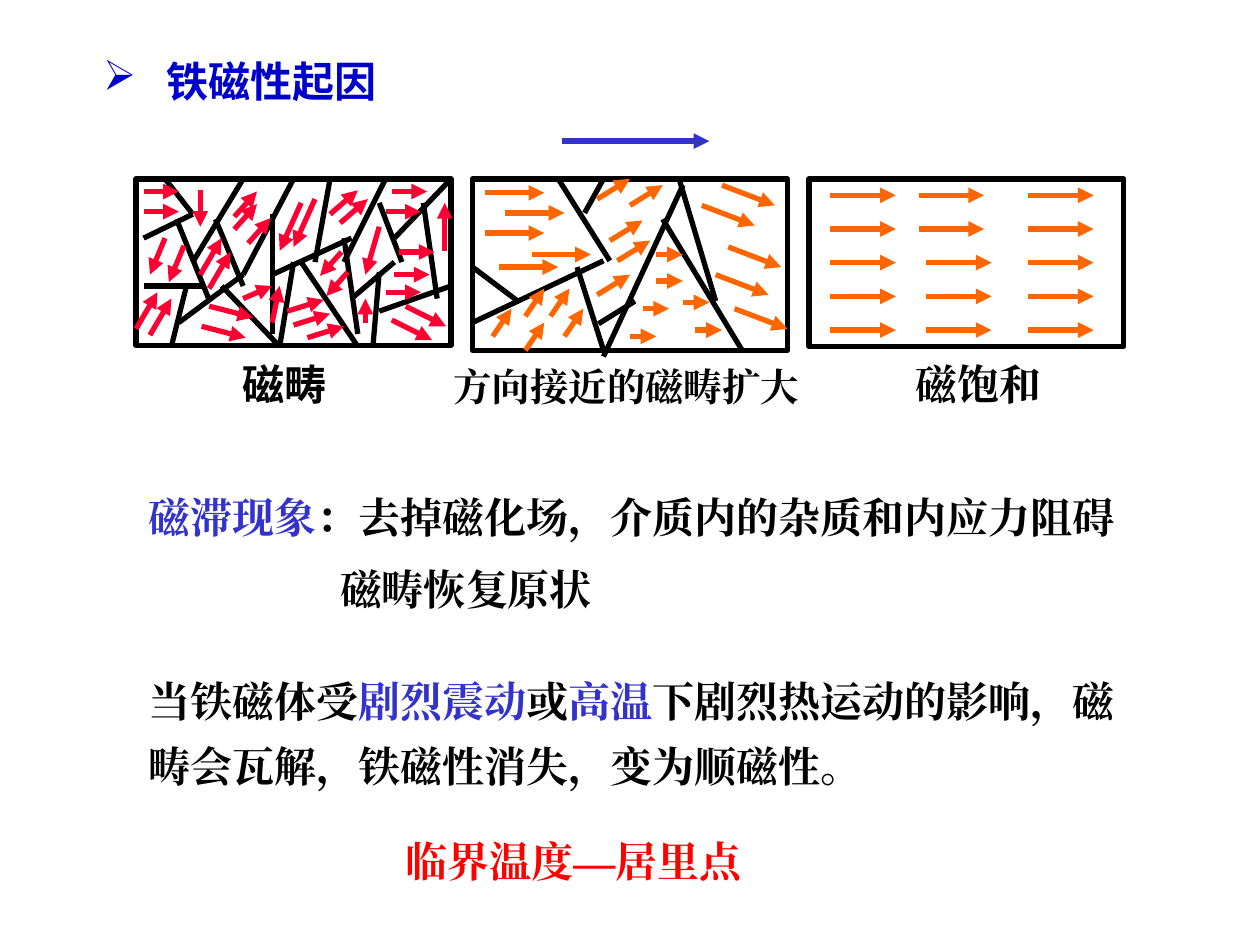
from lxml import etree
from pptx import Presentation
from pptx.dml.color import RGBColor
from pptx.enum import shapes
from pptx.oxml import ns
from pptx.util import Inches, Pt

BLACK, NAVY, BLUE = "000000", "0000CC", "3333CC"
RED, PINK, ORANGE = "FF0000", "FF0033", "FF6600"
TIMES, NOTO = "Times New Roman", "Noto Sans CJK SC"

# Domain walls: x1, y1, x2, y2
RANDOM_WALLS = [
    (1.14, 1.89, 1.53, 1.7), (1.53, 1.7, 1.31, 1.42), (1.4, 1.74, 1.66, 2.38),
    (1.14, 2.27, 1.6, 2.27), (1.48, 2.27, 1.36, 2.75), (1.53, 2.08, 1.93, 1.42),
    (1.71, 1.74, 1.93, 2.27), (1.42, 2.56, 1.93, 2.18), (2.33, 1.42, 1.93, 2.18),
    (1.76, 2.27, 2.22, 2.75), (2.16, 1.7, 2.16, 2.65), (2.16, 2.18, 2.79, 1.89),
    (2.62, 1.42, 2.5, 2.08), (2.33, 2.08, 2.22, 2.75), (3.06, 1.42, 2.73, 2.08),
    (2.39, 2.08, 2.84, 2.75), (2.73, 1.89, 2.84, 2.65), (2.79, 2.37, 3.13, 2.08),
    (3.01, 2.16, 2.96, 2.75), (3.01, 1.61, 3.19, 2.08), (3.13, 1.89, 3.58, 1.42),
    (3.01, 2.47, 3.58, 2.27), (3.36, 1.61, 3.47, 2.37),
]
GROWN_WALLS = [
    (4.43, 1.42, 4.84, 2.07), (4.79, 2.07, 3.75, 2.56), (4.58, 2.12, 4.79, 2.78),
    (4.79, 1.42, 4.64, 1.69), (5.42, 1.47, 4.79, 2.83), (5.26, 1.74, 5.89, 2.78),
    (3.75, 2.12, 4.11, 2.39), (5.39, 1.42, 5.68, 2.39), (4.75, 2.57, 5.04, 2.39),
]

# Magnetic moments: direction -> starting points
RANDOM_MOMENTS = {
    (0.28, 0): [(1.14, 1.52), (1.14, 1.68), (3.13, 2.18), (3.11, 1.52),
                (3.06, 2.32), (3.06, 1.68), (3.17, 2)],
    (-0.12, 0.29): [(1.31, 1.89), (1.46, 1.95)],
    (0.17, -0.29): [(1.08, 2.61), (1.19, 2.66), (1.59, 2.18), (1.66, 2.29)],
    (0, 0.29): [(1.59, 1.51)],
    (0.35, 0.09): [(1.66, 2.43), (1.6, 2.59)],
    (0.18, -0.2): [(1.86, 1.72), (1.86, 1.82), (1.97, 1.93)],
    (0.23, -0.1): [(1.93, 2.37)],
    (-0.17, 0.38): [(2.39, 1.61), (2.5, 1.58)],
    (0.06, -0.29): [(2.16, 2.56)],
    (0.22, -0.19): [(2.62, 1.7), (2.7, 1.77)],
    (-0.17, 0.19): [(2.71, 2), (2.76, 2.16)],
    (0.29, -0.09): [(2.28, 2.47), (2.33, 2.58), (2.44, 2.68)],
    (-0.11, 0.38): [(3.01, 1.8)],
    (0, -0.19): [(2.9, 2.56)],
    (0, -0.38): [(3.53, 1.99)],
    (0.32, 0.16): [(3.22, 2.43), (3.11, 2.54)],
}
GROWN_MOMENTS = {
    (0.47, 0): [(3.85, 1.53), (4.01, 1.69), (3.85, 1.85), (3.96, 2.12), (4.22, 2.02)],
    (0.15, -0.22): [(3.91, 2.67), (4.17, 2.78), (4.17, 2.51), (4.37, 2.51), (4.48, 2.67)],
    (0.26, -0.16): [(4.74, 1.58), (5, 1.63), (4.84, 1.91), (4.9, 2.07), (4.74, 2.34)],
    (0.21, 0): [(5.21, 2.02), (5.42, 2.4), (5.1, 2.45), (5, 2.67), (5.21, 2.23), (5.52, 2.62)],
    (0.42, 0.16): [(5.73, 1.47), (5.57, 1.63), (5.78, 1.96), (5.68, 2.18), (5.83, 2.45)],
}
ALIGNED_MOMENTS = {
    (0.52, 0): [(x, 1.55 + row * 1.07 / 4) for row in range(5)
                for x in (6.59, 7.29 if row < 2 else 7.35, 8.16)],
}


def rgb(code):
    return RGBColor.from_string(code)


def add(parent, tag, **attrs):
    return etree.SubElement(parent, ns.qn(tag), attrs)


def draw_line(parent, start, end, color, arrow=False):
    points = [Inches(v) for v in (*start, *end)]
    line = parent.shapes.add_connector(shapes.MSO_CONNECTOR.STRAIGHT, *points)
    line.line.color.rgb = rgb(color)
    line.line.width = Pt(3)
    if arrow:
        add(line.line._get_or_add_ln(), "a:tailEnd", type="triangle")
    add(line._element.spPr, "a:effectLst")


def draw_frame(parent, box):
    frame = parent.shapes.add_shape(shapes.MSO_SHAPE.RECTANGLE, *map(Inches, box))
    frame.shadow.inherit = False
    frame.fill.background()
    frame.line.color.rgb = rgb(BLACK)
    frame.line.width = Pt(3)


def draw_text(parent, box, paras, font=TIMES, size=24, spacing=None):
    """Each paragraph is a list of (words, color) pairs."""
    frame = parent.shapes.add_textbox(*map(Inches, box)).text_frame
    frame.word_wrap = True
    for i, parts in enumerate(paras):
        para = frame.add_paragraph() if i else frame.paragraphs[0]
        if i:
            para.space_before = Pt(15)
        if spacing:
            para.line_spacing = spacing
        for words, color in parts:
            run = para.add_run()
            run.text = words
            run.font.name = font
            run.font.size = Pt(size)
            run.font.bold = True
            run.font.color.rgb = rgb(color)
            add(run.font._element, "a:ea", typeface=font)
    return frame


def indent(para, left, first):
    props = para._p.get_or_add_pPr()
    props.set("marL", str(Inches(left)))
    props.set("indent", str(Inches(first)))
    return props


def draw_title(slide):
    frame = draw_text(slide, (0.72, 0.39, 3.5, 0.5), [[("铁磁性起因", NAVY)]], NOTO)
    props = indent(frame.paragraphs[0], 0.5, -0.5)
    add(add(props, "a:buClr"), "a:srgbClr", val=NAVY)
    add(props, "a:buChar", char="➢")


def draw_panel(slide, box, walls, moments, color, label, place, font=TIMES, size=24):
    group = slide.shapes.add_group_shape()
    draw_frame(group, box)
    for x1, y1, x2, y2 in walls:
        draw_line(group, (x1, y1), (x2, y2), BLACK)
    for (dx, dy), starts in moments.items():
        for x, y in starts:
            draw_line(group, (x, y), (x + dx, y + dy), color, arrow=True)
    draw_text(group, place, [[(label, BLACK)]], font, size)


def draw_notes(slide):
    lag = draw_text(slide, (1.08, 3.9, 8.08, 1.03), [
        [("磁滞现象", BLUE), ("：去掉磁化场，介质内的杂质和内应力阻碍", BLACK)],
        [("磁畴恢复原状", BLACK)],
    ], spacing=0.9)
    indent(lag.paragraphs[1], 1.52, 0)
    draw_text(slide, (1.08, 5.19, 8.17, 1.14), [[
        ("当铁磁体受", BLACK), ("剧烈震动", BLUE), ("或", BLACK), ("高温", BLUE),
        ("下剧烈热运动的影响，磁畴会瓦解，铁磁性消失，变为顺磁性。", BLACK),
    ]], spacing=1.3)
    draw_text(slide, (3.12, 6.58, 3.42, 0.5), [[("临界温度—居里点", RED)]])


def main():
    deck = Presentation()
    deck.slide_width, deck.slide_height = Inches(10), Inches(7.5)
    slide = deck.slides.add_slide(deck.slide_layouts[6])
    draw_title(slide)
    draw_panel(slide, (1.08, 1.42, 2.5, 1.32), RANDOM_WALLS, RANDOM_MOMENTS, PINK,
               "磁畴", (1.83, 2.8, 1.17, 0.5), NOTO)
    draw_line(slide, (4.46, 1.12), (5.63, 1.12), BLUE, arrow=True)
    draw_panel(slide, (3.75, 1.42, 2.5, 1.36), GROWN_WALLS, GROWN_MOMENTS, ORANGE,
               "方向接近的磁畴扩大", (3.5, 2.83, 3.25, 0.47), size=22)
    draw_panel(slide, (6.42, 1.42, 2.5, 1.33), [], ALIGNED_MOMENTS, ORANGE,
               "磁饱和", (7.17, 2.8, 1.42, 0.5))
    draw_notes(slide)
    deck.save("out.pptx")


if __name__ == "__main__":
    main()
